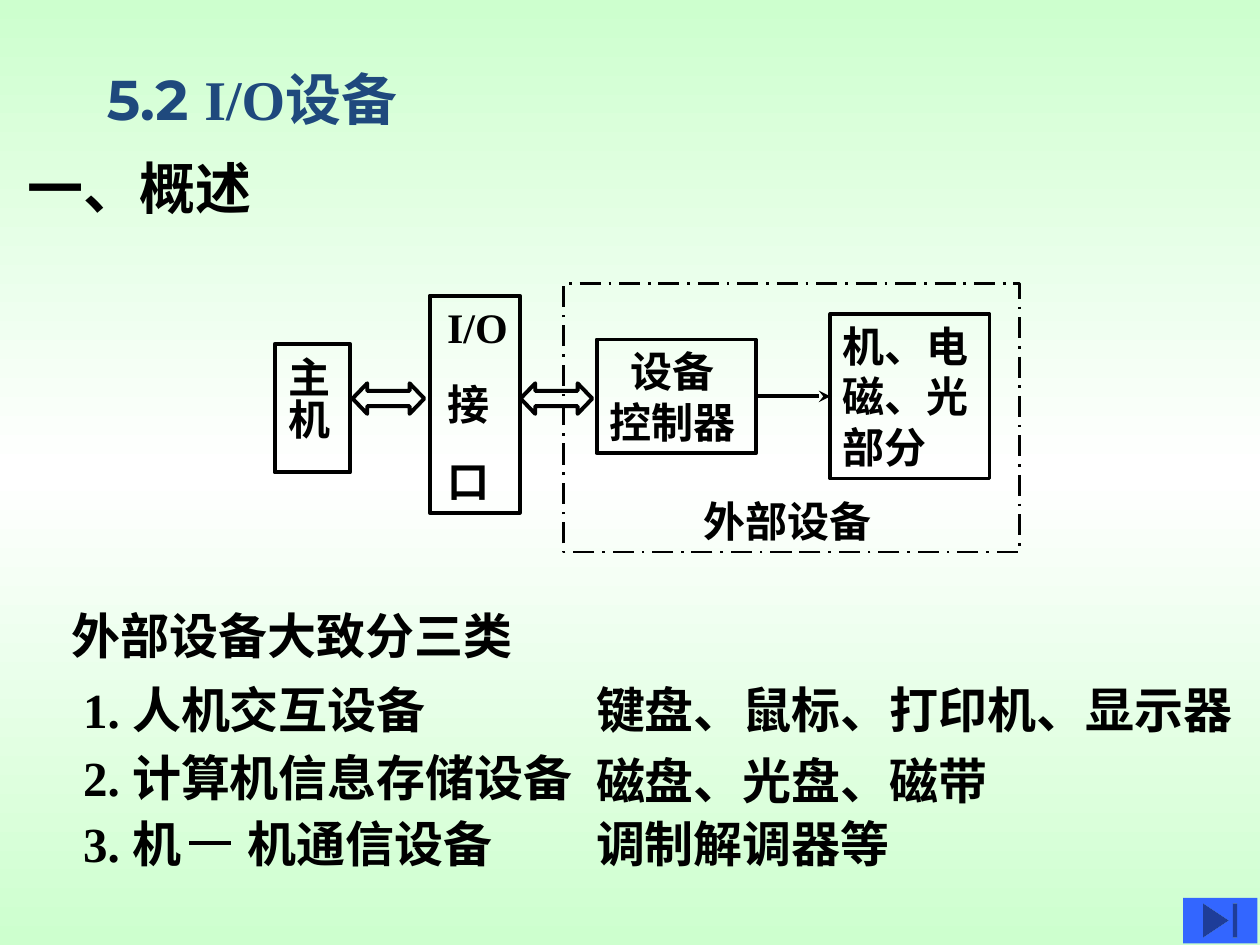
from copy import deepcopy
from lxml.etree import SubElement
from pptx import Presentation
from pptx.dml.color import RGBColor
from pptx.enum.dml import MSO_LINE
from pptx.enum.shapes import MSO_CONNECTOR, MSO_SHAPE
from pptx.enum.text import MSO_ANCHOR
from pptx.oxml.ns import qn
from pptx.util import Pt

BLACK = RGBColor(0, 0, 0)
NAVY = RGBColor(0x1F, 0x49, 0x7D)
MINT = RGBColor(0xCD, 0xFF, 0xCE)
WHITE = RGBColor(0xFF, 0xFF, 0xFF)
BLUE = RGBColor(0x33, 0x66, 0xFF)
SERIF = "Times New Roman"
SANS = "Montserrat"
INSETS = (7.2, 3.6, 7.2, 3.6)


def assign(target, values):
    for name, value in values.items():
        setattr(target, name, value)


class SlideBuilder:
    def __init__(self, page):
        self.page = page

    def background(self, colors):
        fill = self.page.background.fill
        fill.gradient()
        fill.gradient_angle = 270
        stops = self.page.element.find(".//" + qn("a:gsLst"))
        while len(stops) < len(colors):
            stops.append(deepcopy(stops[0]))
        for index, color in enumerate(colors):
            stop = fill.gradient_stops[index]
            stop.position = index / (len(colors) - 1)
            stop.color.rgb = color

    def add_lines(self, box, lines, size, color=BLACK, insets=INSETS, before=0,
                  anchor=MSO_ANCHOR.TOP):
        frame = box.text_frame
        sides = ("margin_left", "margin_top", "margin_right", "margin_bottom")
        assign(frame, dict(zip(sides, map(Pt, insets))))
        assign(frame, {"word_wrap": True, "vertical_anchor": anchor})
        for index, line in enumerate(lines):
            para = frame.add_paragraph() if index else frame.paragraphs[0]
            para.space_before = Pt(before)
            for text, font in ([(line, SERIF)] if isinstance(line, str) else line):
                span = para.add_run()
                span.text = text
                assign(span.font, {"name": font, "size": Pt(size), "bold": True})
                span.font.color.rgb = color
        return box

    def text(self, place, lines, size=28, **style):
        box = self.page.shapes.add_textbox(*map(Pt, place))
        return self.add_lines(box, lines, size, **style)

    def shape(self, kind, place, width=2.25, dash=None, fill=None):
        box = self.page.shapes.add_shape(kind, *map(Pt, place))
        box.shadow.inherit = False
        if fill is None:
            box.fill.background()
            box.line.color.rgb = BLACK
            assign(box.line, {"width": Pt(width), "dash_style": dash})
        else:
            box.fill.solid()
            box.fill.fore_color.rgb = fill
            box.line.fill.background()
        return box

    def block(self, place, lines, **style):
        box = self.shape(MSO_SHAPE.RECTANGLE, place)
        self.add_lines(box, lines, 24, **style)
        for para in box.text_frame.paragraphs:
            para._p.get_or_add_pPr().set("algn", "l")
        return box

    def double_arrow(self, left):
        arrow = self.shape(MSO_SHAPE.LEFT_RIGHT_ARROW, (left, 219, 41, 17.5))
        arrow.adjustments[0] = 0.5
        arrow.adjustments[1] = 0.48

    def line(self, start, end):
        line = self.page.shapes.add_connector(
            MSO_CONNECTOR.STRAIGHT, *map(Pt, start + end))
        line.line.color.rgb = BLACK
        line.line.width = Pt(2.25)
        SubElement(line._element.spPr, qn("a:effectLst"))
        return line

    def arrow(self, source, target):
        line = self.line((0, 0), (0, 0))
        line.begin_connect(source, 3)
        line.end_connect(target, 1)
        SubElement(line.line._get_or_add_ln(), qn("a:tailEnd"), type="stealth")


def main():
    deck = Presentation()
    assign(deck, {"slide_width": Pt(720), "slide_height": Pt(540)})
    slide = SlideBuilder(deck.slides.add_slide(deck.slide_layouts[6]))
    slide.background((MINT, WHITE, MINT))

    slide.text((54, 22, 612, 57), [[("5.2 ", SANS), ("I/O", SERIF), ("设备", SANS)]],
               32, color=NAVY, anchor=MSO_ANCHOR.BOTTOM)
    slide.text((8.5, 84, 186, 46), ["一、概述"], 32)

    host = slide.block((157, 196.5, 43, 73.5), ["主机"],
                       insets=(3.6, 7.2, 9.4, 7.2), before=15)
    host.text_frame._txBody.bodyPr.set("vert", "eaVert")
    controller = slide.block((341, 194, 91, 65), ["设备", "控制器"])
    first = controller.text_frame.paragraphs[0]
    first._p.get_or_add_pPr().set("indent", str(Pt(12)))
    mechanism = slide.block((474.5, 179.5, 91, 94), ["机、电", "磁、光", "部分"])
    slide.block((245.5, 169, 51.5, 124), ["I/O", "接", "口"],
                insets=(10, 3.6, 4.4, 3.6), before=15)
    slide.shape(MSO_SHAPE.RECTANGLE, (322, 162, 260.5, 153.5), 1.5,
                MSO_LINE.LONG_DASH_DOT)
    slide.text((395, 279.5, 164, 36), ["外部设备"], 24, before=15)
    slide.arrow(controller, mechanism)
    for left in (201.5, 297.5):
        slide.double_arrow(left)

    slide.text((34, 342.5, 348, 41), ["外部设备大致分三类"])
    categories = (
        (385, "1. 人机交互设备", 385, "键盘、鼠标、打印机、显示器"),
        (423.5, "2. 计算机信息存储设备", 425.5, "磁盘、光盘、磁带"),
        (461.5, "3. 机\t机通信设备", 461.5, "调制解调器等"),
    )
    for top, category, example_top, examples in categories:
        label = slide.text((40.5, top, 330, 41), [category])
        slide.text((333.5, example_top, 386, 41), [examples])
    properties = label.text_frame.paragraphs[0]._p.get_or_add_pPr()
    tabs = SubElement(properties, qn("a:tabLst"))
    SubElement(tabs, qn("a:tab"), pos=str(Pt(94)), algn="l")
    slide.line((108, 481.5), (132, 481.5))

    slide.shape(MSO_SHAPE.ACTION_BUTTON_END, (676, 513, 42.5, 26), fill=BLUE)
    deck.save("out.pptx")


if __name__ == "__main__":
    main()
